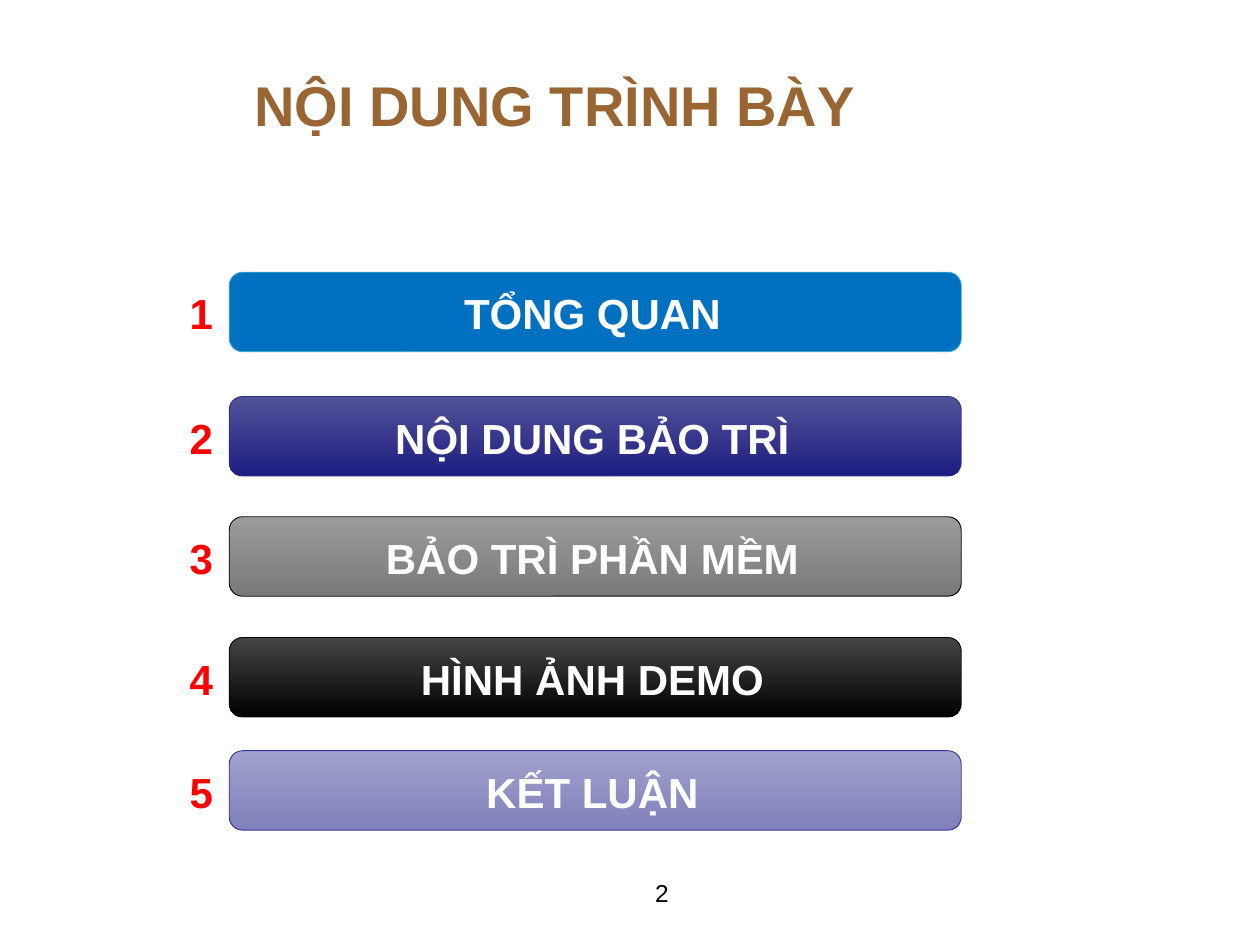
"""Build the agenda slide with five numbered bars."""
from dataclasses import dataclass

from pptx import Presentation
from pptx.dml.color import RGBColor as RGB
from pptx.enum.shapes import MSO_SHAPE as Shape
from pptx.enum.text import MSO_ANCHOR as Anchor, PP_ALIGN as Align
from pptx.util import Pt


@dataclass(frozen=True)
class Theme:
    font: str = "Arial"
    head: str = "996633"
    num: str = "FF0000"
    label: str = "FFFFFF"
    page: str = "000000"
    big: int = 32
    mid: int = 24
    small: int = 14


THEME = Theme()
ROWS = [
    ("TỔNG QUAN", 155.6, ["0070C0"], "3CA8CE"),
    ("NỘI DUNG BẢO TRÌ", 226.6, ["525298", "1E1E82"], "2D2D8A"),
    ("BẢO TRÌ PHẦN MỀM", 295.3, ["9B9B9B", "797979"], "000000"),
    ("HÌNH ẢNH DEMO", 364.3, ["454545", "000000"], "000000"),
    ("KẾT LUẬN", 429, ["A1A1CC", "8080BB"], "333399"),
]


def write(frame, text, size, color, bold=True, align=Align.CENTER):
    frame.word_wrap = True
    frame.text = text
    para = frame.paragraphs[0]
    para.alignment = align
    font = para.font
    font.name, font.size, font.bold = THEME.font, Pt(size), bold
    font.color.rgb = RGB.from_string(color)


def add_text(shapes, box, text, size, color, bold=True):
    item = shapes.add_textbox(*map(Pt, box))
    write(item.text_frame, text, size, color, bold)


def paint(fill, tints):
    if len(tints) == 1:
        fill.solid()
        fill.fore_color.rgb = RGB.from_string(tints[0])
        return
    fill.gradient()
    fill.gradient_angle = 270
    for stop, tint in zip(fill.gradient_stops, tints):
        stop.color.rgb = RGB.from_string(tint)


def add_row(slide, num, label, top, tints, edge):
    shapes = slide.shapes.add_group_shape().shapes
    bar = shapes.add_shape(Shape.ROUNDED_RECTANGLE, Pt(131), Pt(top), Pt(418.3), Pt(45.4))
    bar.shadow.inherit = False
    paint(bar.fill, tints)
    bar.line.color.rgb = RGB.from_string(edge)
    bar.line.width = Pt(0.5)
    add_text(shapes, (152, top + 5.4, 373, 36), label, THEME.mid, THEME.label)
    add_text(shapes, (100, top + 5.4, 30.2, 36), str(num), THEME.mid, THEME.num)


def add_title(slide, text):
    title = slide.shapes.title
    title.left, title.top, title.width, title.height = map(Pt, (138.2, 22.3, 558, 74.2))
    title.text_frame.vertical_anchor = Anchor.MIDDLE
    write(title.text_frame, text, THEME.big, THEME.head, align=Align.LEFT)


def main():
    deck = Presentation()
    deck.slide_width, deck.slide_height = Pt(720), Pt(540)
    slide = deck.slides.add_slide(deck.slide_layouts[5])
    add_title(slide, "NỘI DUNG TRÌNH BÀY")
    for num, row in enumerate(ROWS, 1):
        add_row(slide, num, *row)
    add_text(slide.shapes, (354.2, 498.2, 48.2, 43.9), "2", THEME.small, THEME.page, False)
    deck.save("out.pptx")


if __name__ == "__main__":
    main()
